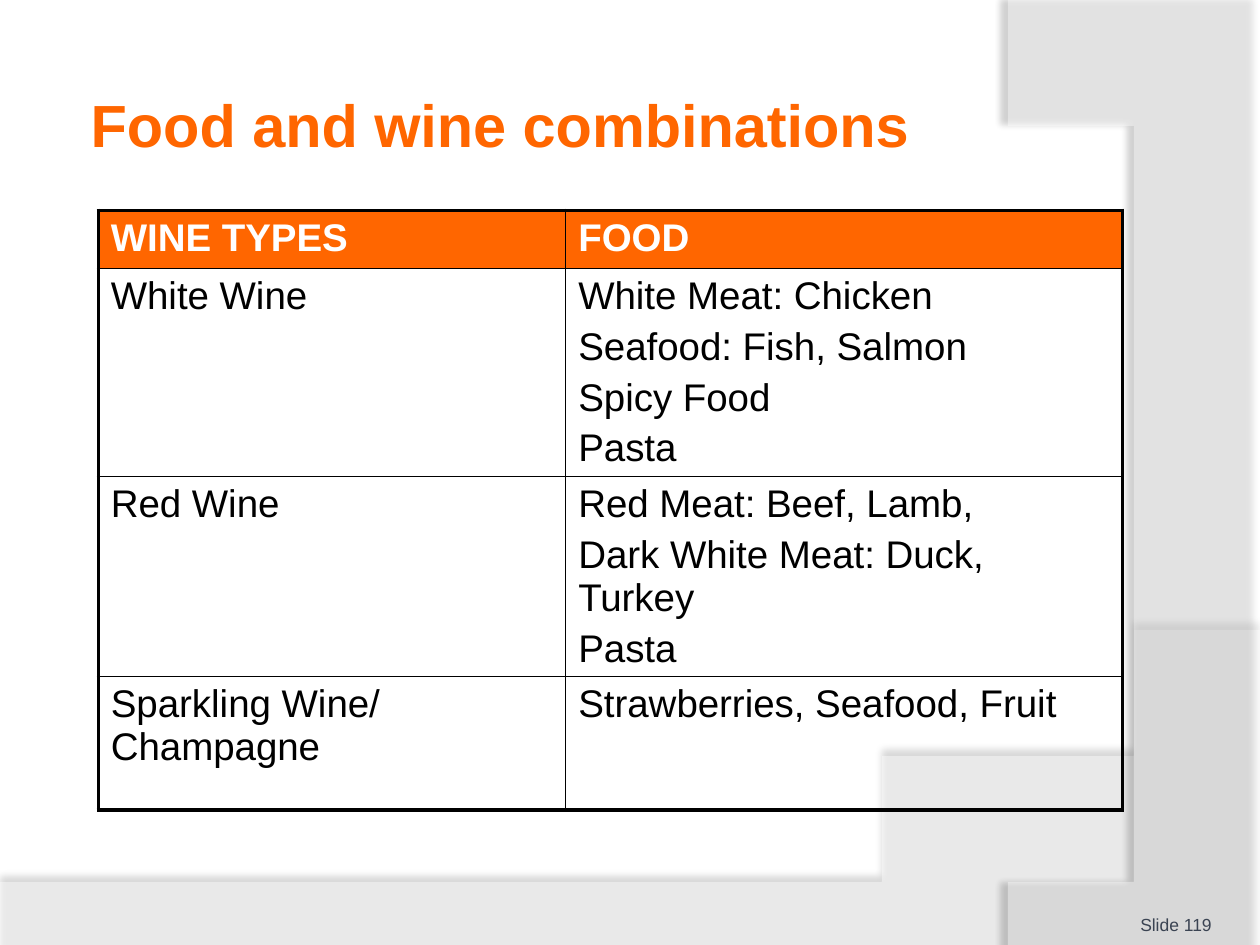
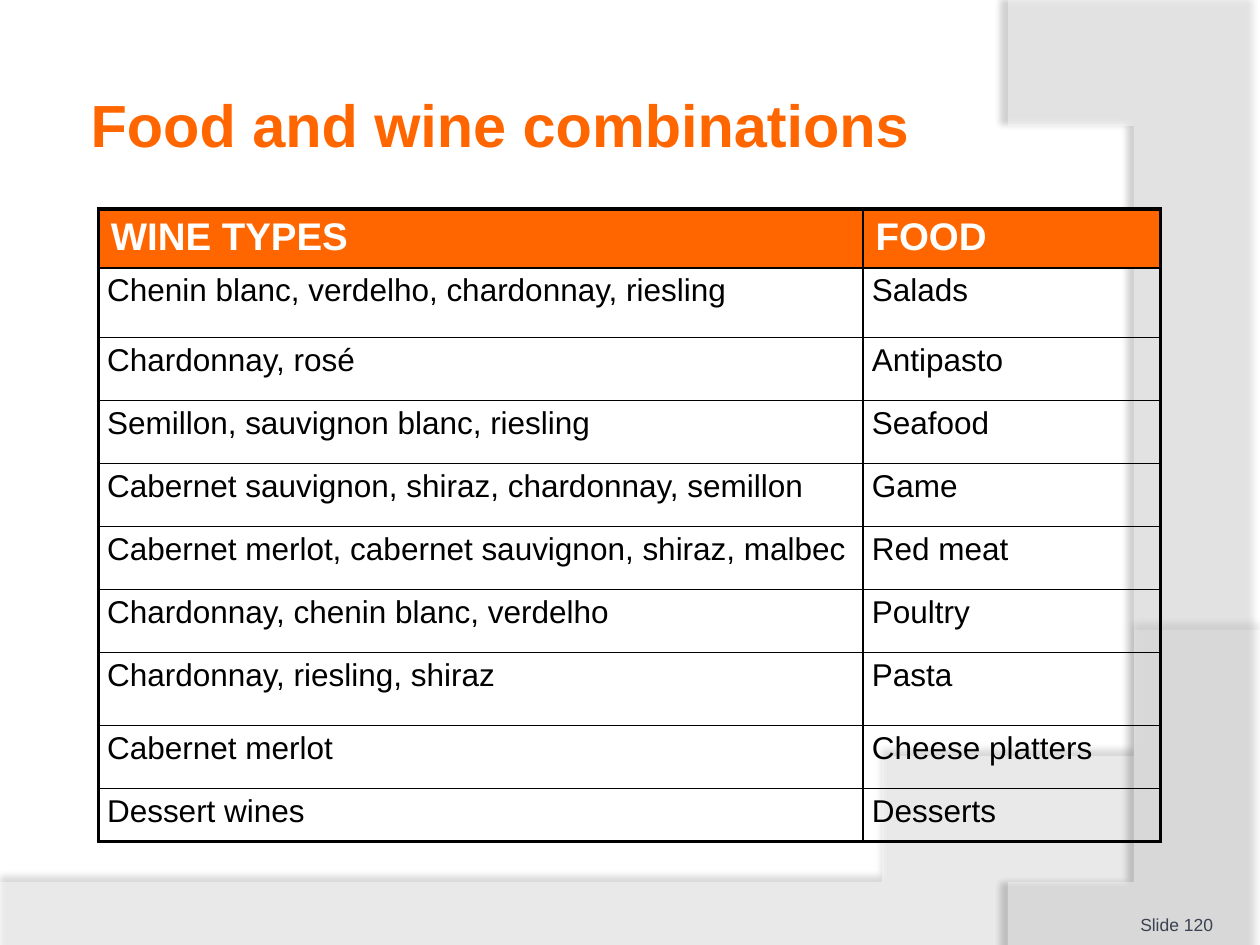
from lxml import etree
from pptx import Presentation
from pptx.dml.color import RGBColor
from pptx.enum.text import MSO_ANCHOR
from pptx.oxml.ns import qn
from pptx.util import Inches, Pt

FONT, ORANGE, WHITE, BLACK, SLATE = "Arial", "FF6600", "FFFFFF", "000000", "3A4352"
TITLE = "Food and wine combinations"
HEADINGS = ("WINE TYPES", "FOOD")

# Each cell is a list of paragraphs.
PAIRINGS_BY_COLOUR = [
    (["White Wine"],
     ["White Meat: Chicken", "Seafood: Fish, Salmon", "Spicy Food", "Pasta"]),
    (["Red Wine"],
     ["Red Meat: Beef, Lamb,", "Dark White Meat: Duck, Turkey", "Pasta"]),
    (["Sparkling Wine/ Champagne"], ["Strawberries, Seafood, Fruit"]),
]
PAIRINGS_BY_GRAPE = [
    (["Chenin blanc, verdelho, chardonnay, riesling"], ["Salads"]),
    (["Chardonnay, rosé"], ["Antipasto"]),
    (["Semillon, sauvignon blanc, riesling"], ["Seafood"]),
    (["Cabernet sauvignon, shiraz, chardonnay, semillon"], ["Game"]),
    (["Cabernet merlot, cabernet sauvignon, shiraz, malbec"], ["Red meat"]),
    (["Chardonnay, chenin blanc, verdelho"], ["Poultry"]),
    (["Chardonnay, riesling, shiraz"], ["Pasta"]),
    (["Cabernet merlot"], ["Cheese platters"]),
    (["Dessert wines"], ["Desserts"]),
]
SLIDES = [
    dict(number=119, pairings=PAIRINGS_BY_COLOUR, top=1.67, widths=(3.71, 4.42),
         heights=[0.46, 1.65, 1.59, 1.06],
         body=dict(size=22, margins=(0.1, 0.05), line=1, before=4.4, after=0)),
    dict(number=120, pairings=PAIRINGS_BY_GRAPE, top=1.66, widths=(6.07, 2.36),
         heights=[0.46, 0.55] + [0.5] * 5 + [0.58, 0.5, 0.42],
         body=dict(size=18, margins=(0.07, 0), line=1.15, before=4, after=6)),
]
HEADER = dict(size=22, margins=(0.1, 0.05), line=1, before=0, after=0)

# Swooshes: a curve (four Bezier points), the corners that close it, and the look.
SWOOSHES = [
    dict(curve=[(10, 5.2), (5.59, 7.29), (3.91, 7.19), (0, 7.05)],
         corners=[(0, 7.51), (10, 7.51)],
         opacity=45, shadow_opacity=35, distance=3.5, angle=270),
    dict(curve=[(8.21, 7.5), (9.35, 6.19), (10.18, 3), (8, 0)],
         corners=[(10, 0.02), (10, 7.5)],
         opacity=40, shadow_opacity=45, distance=4, angle=180),
]


def color(value):
    return RGBColor.from_string(value)


def set_font(para, size, value, bold=False):
    font = para.font
    font.name, font.size, font.bold = FONT, Pt(size), bold
    font.color.rgb = color(value)


def add_color(parent, value, opacity=100):
    """Append an srgbClr element, with transparency if it is not opaque."""
    node = etree.SubElement(parent, qn("a:srgbClr"), val=value)
    if opacity < 100:
        etree.SubElement(node, qn("a:alpha"), val=str(opacity * 1000))


def bezier(points, steps=60):
    for step in range(steps + 1):
        t = step / steps
        weights = ((1 - t) ** 3, 3 * t * (1 - t) ** 2, 3 * t * t * (1 - t), t ** 3)
        yield tuple(sum(w * p[axis] for w, p in zip(weights, points)) for axis in (0, 1))


def add_swoosh(page, curve, corners, opacity, shadow_opacity, distance, angle):
    outline = [*bezier(curve), *corners]
    builder = page.shapes.build_freeform(*outline[0], scale=Inches(1))
    builder.add_line_segments(outline[1:], close=True)
    swoosh = builder.convert_to_shape()
    swoosh.line.fill.background()
    swoosh.fill.solid()
    swoosh.fill.fore_color.rgb = color(WHITE)
    tint = swoosh.fill.fore_color._xFill.find(qn("a:srgbClr"))
    etree.SubElement(tint, qn("a:alpha"), val=str(opacity * 1000))
    swoosh.shadow.inherit = False
    effects = swoosh._element.spPr.find(qn("a:effectLst"))
    shadow = etree.SubElement(effects, qn("a:outerShdw"), blurRad=str(Pt(4)),
                              dist=str(Pt(distance)), dir=str(angle * 60000),
                              algn="ctr", rotWithShape="0")
    add_color(shadow, BLACK, shadow_opacity)


def add_label(page, text, area, margins, anchor, size, value, bold=False):
    frame = page.shapes.add_textbox(*map(Inches, area)).text_frame
    frame.word_wrap = True
    frame.vertical_anchor = anchor
    (frame.margin_left, frame.margin_top,
     frame.margin_right, frame.margin_bottom) = map(Inches, margins)
    frame.text = text
    set_font(frame.paragraphs[0], size, value, bold)


def set_borders(cell, outer):
    """Draw all four edges; those named in outer are thick."""
    props = cell._tc.get_or_add_tcPr()
    for edge in "LRTB":
        width = Pt(2.25 if edge in outer else 1)
        line = etree.SubElement(props, qn(f"a:ln{edge}"), w=str(width))
        add_color(etree.SubElement(line, qn("a:solidFill")), BLACK)


def fill_cell(cell, lines, style, value, bold):
    cell.margin_left = cell.margin_right = Inches(style["margins"][0])
    cell.margin_top = cell.margin_bottom = Inches(style["margins"][1])
    cell.text = "\n".join(lines)
    for index, para in enumerate(cell.text_frame.paragraphs):
        para.line_spacing = style["line"]
        para.space_before = Pt(style["before"] if index else 0)
        para.space_after = Pt(style["after"])
        set_font(para, style["size"], value, bold)


def add_pairing_table(page, pairings, top, widths, heights, body):
    rows = [[[heading] for heading in HEADINGS], *pairings]
    table = page.shapes.add_table(
        len(rows), len(widths), Inches(0.78), Inches(top),
        Inches(sum(widths)), Inches(sum(heights))).table
    table.first_row = table.horz_banding = False
    for column, width in zip(table.columns, widths):
        column.width = Inches(width)
    for r, (row, height) in enumerate(zip(rows, heights)):
        table.rows[r].height = Inches(height)
        for c, lines in enumerate(row):
            cell = table.cell(r, c)
            outer = "LR"[c] + "T" * (r == 0) + "B" * (r == len(rows) - 1)
            set_borders(cell, outer)
            if r == 0:
                cell.fill.solid()
                cell.fill.fore_color.rgb = color(ORANGE)
                fill_cell(cell, lines, HEADER, WHITE, True)
            else:
                cell.fill.background()
                fill_cell(cell, lines, body, BLACK, False)


def add_page(deck, number, **table):
    page = deck.slides.add_slide(deck.slide_layouts[6])
    for swoosh in SWOOSHES:
        add_swoosh(page, **swoosh)
    add_pairing_table(page, **table)
    add_label(page, TITLE, (0.67, 0.36, 8.75, 1.25), (0.05,) * 4,
              MSO_ANCHOR.MIDDLE, 34, ORANGE, True)
    add_label(page, f"Slide {number}", (8.92, 7.02, 0.83, 0.4), (0.13, 0.05, 0.05, 0),
              MSO_ANCHOR.BOTTOM, 10, SLATE)


def main():
    deck = Presentation()
    deck.slide_width, deck.slide_height = Inches(10), Inches(7.5)
    for content in SLIDES:
        add_page(deck, **content)
    deck.save("out.pptx")


if __name__ == "__main__":
    main()
